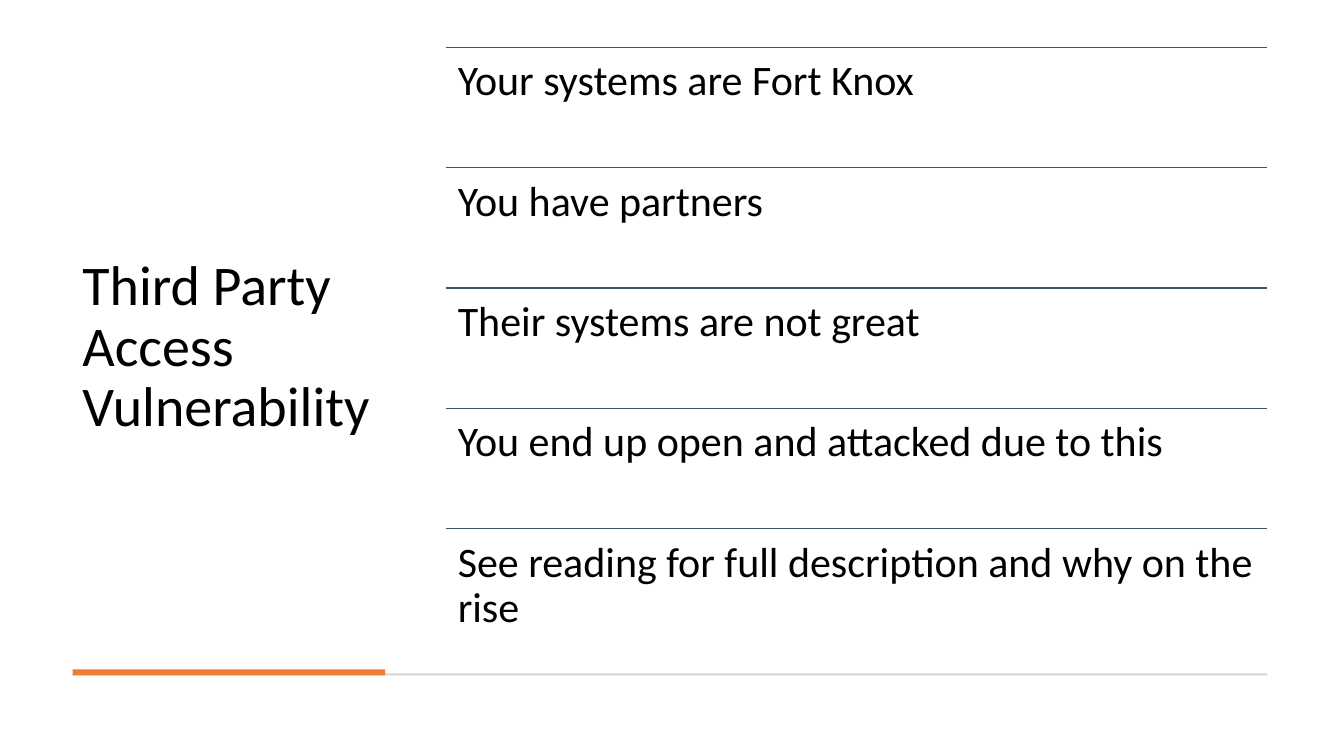
import pptx
import pptx.util
import pptx.dml.color
import pptx.enum.shapes
import pptx.enum.text
from lxml import etree

Inches, Pt = pptx.util.Inches, pptx.util.Pt
RGBColor = pptx.dml.color.RGBColor
BLACK = RGBColor(0x00, 0x00, 0x00)
SLATE = RGBColor(0x44, 0x54, 0x6A)
ORANGE = RGBColor(0xED, 0x7D, 0x31)
GREY = RGBColor(0xD5, 0xD5, 0xD5)

WIDTH, HEIGHT = 13.33, 7.5
LEFT, RIGHT, TOP, BOTTOM = 0.72, 12.57, 0.47, 6.44
TITLE_WIDTH = 3.1
LIST_LEFT = 4.42
FOOTER_TOP = 6.64

TITLE = "Third Party Access Vulnerability"
POINTS = [
    "Your systems are Fort Knox",
    "You have partners",
    "Their systems are not great",
    "You end up open and attacked due to this",
    "See reading for full description and why on the rise",
]


def add_text(slide, box, text, size, anchor, inset_x, inset_y):
    sp = slide.shapes.add_textbox(*map(Inches, box))
    tf = sp.text_frame
    tf.word_wrap = True
    tf.vertical_anchor = anchor
    tf.margin_left = tf.margin_right = Inches(inset_x)
    tf.margin_top = tf.margin_bottom = Inches(inset_y)
    tf.text = text
    p = tf.paragraphs[0]
    p.line_spacing = 0.9
    font = p.runs[0].font
    font.name, font.size = "Calibri", Pt(size)
    font.color.rgb = BLACK


def add_bar(slide, box, color):
    sp = slide.shapes.add_shape(
        pptx.enum.shapes.MSO_SHAPE.RECTANGLE, *map(Inches, box))
    sp.shadow.inherit = False
    sp.fill.solid()
    sp.fill.fore_color.rgb = color
    sp.line.fill.background()


def add_rule(slide, x, y, width):
    line = slide.shapes.add_connector(
        pptx.enum.shapes.MSO_CONNECTOR.STRAIGHT,
        Inches(x), Inches(y), Inches(x + width), Inches(y))
    line.line.color.rgb = SLATE
    line.line.width = Pt(1)
    etree.SubElement(line.element.spPr, pptx.oxml.ns.qn("a:effectLst"))


def add_title(slide, box):
    add_text(slide, box, TITLE, 40,
             pptx.enum.text.MSO_ANCHOR.MIDDLE, 0.1, 0.05)


def add_footer(slide, box):
    x, y, width, height = box
    add_bar(slide, (x, y + 0.04, width, 0.02), GREY)
    add_bar(slide, (x, y, TITLE_WIDTH, height), ORANGE)


def add_points(slide, box):
    x, y, width, height = box
    row = height / len(POINTS)
    for i, point in enumerate(POINTS):
        top = y + i * row
        add_rule(slide, x, top, width)
        add_text(slide, (x, top, width, row), point, 30,
                 pptx.enum.text.MSO_ANCHOR.TOP, 0.12, 0.12)


def main():
    prs = pptx.Presentation()
    prs.slide_width, prs.slide_height = Inches(WIDTH), Inches(HEIGHT)
    slide = prs.slides.add_slide(prs.slide_layouts[6])
    add_title(slide, (LEFT, TOP, TITLE_WIDTH, BOTTOM - TOP))
    add_footer(slide, (LEFT, FOOTER_TOP, RIGHT - LEFT, 0.06))
    add_points(slide, (LIST_LEFT, TOP, RIGHT - LIST_LEFT, BOTTOM - TOP))
    prs.save("out.pptx")


if __name__ == "__main__":
    main()
